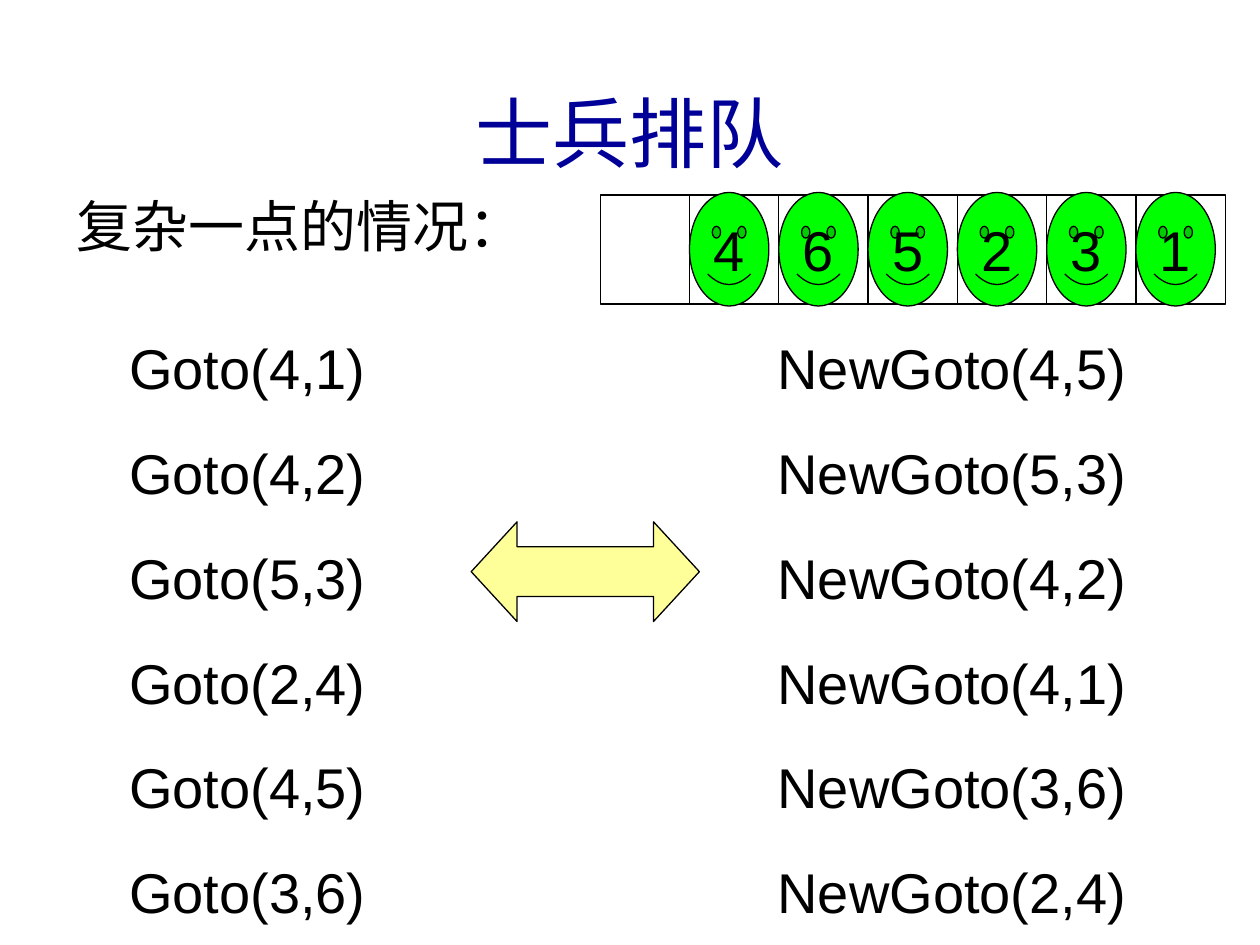
"""Build the slide on lining up soldiers, with two equivalent Goto sequences."""
from dataclasses import dataclass

from pptx import Presentation
from pptx.dml.color import RGBColor
from pptx.enum.shapes import MSO_SHAPE as Preset
from pptx.enum.text import MSO_ANCHOR as Anchor, MSO_AUTO_SIZE as AutoSize, PP_ALIGN as Align
from pptx.oxml.ns import qn
from pptx.util import Cm, Pt

NAVY = RGBColor(0x00, 0x00, 0x99)
BLACK = RGBColor(0x00, 0x00, 0x00)
GREEN = RGBColor(0x00, 0xFF, 0x00)
YELLOW = RGBColor(0xFF, 0xFF, 0x99)
FONT = "Arial"
TEXT_SIZE = 32
CELL_COUNT = 7
CELL_WIDTH = 1.8
QUEUE_LEFT = 12.1
SOLDIERS = "465231"


@dataclass
class Box:
    left: float
    top: float
    width: float
    height: float

    def lengths(self) -> tuple:
        return Cm(self.left), Cm(self.top), Cm(self.width), Cm(self.height)


@dataclass
class CallList:
    box: Box
    calls: list[str]


CALL_LISTS = [
    CallList(Box(0.89, 6.6, 8.2, 11.91),
             ["Goto(4,1)", "Goto(4,2)", "Goto(5,3)", "Goto(2,4)", "Goto(4,5)", "Goto(3,6)"]),
    CallList(Box(15.09, 6.6, 8.2, 11.91),
             ["NewGoto(4,5)", "NewGoto(5,3)", "NewGoto(4,2)",
              "NewGoto(4,1)", "NewGoto(3,6)", "NewGoto(2,4)"]),
]


def place(shape, box: Box) -> None:
    shape.left, shape.top, shape.width, shape.height = box.lengths()


def write(shape, text: str, size: int = TEXT_SIZE, color: RGBColor = BLACK,
          align: Align = Align.CENTER, anchor: Anchor = Anchor.MIDDLE, wrap: bool = True) -> None:
    frame = shape.text_frame
    frame.text = text
    frame.auto_size = AutoSize.NONE
    frame.word_wrap = wrap
    frame.vertical_anchor = anchor
    for paragraph in frame.paragraphs:
        paragraph.alignment = align
        for run in paragraph.runs:
            run.font.name = FONT
            run.font.size = Pt(size)
            run.font.color.rgb = color


def add_preset(slide, preset: Preset, box: Box, fill: RGBColor | None = None):
    shape = slide.shapes.add_shape(preset, *box.lengths())
    shape.shadow.inherit = False
    if fill is None:
        shape.fill.background()
    else:
        shape.fill.solid()
        shape.fill.fore_color.rgb = fill
    shape.line.color.rgb = BLACK
    shape.line.width = Pt(0.75)
    return shape


def fill_call_list(placeholder, call_list: CallList) -> None:
    place(placeholder, call_list.box)
    write(placeholder, "\n".join(call_list.calls), anchor=Anchor.TOP)
    for paragraph in placeholder.text_frame.paragraphs:
        paragraph.space_before = Pt(21.5)
        properties = paragraph._p.get_or_add_pPr()
        properties.set("marL", "0")
        properties.set("indent", "0")
        properties.append(properties.makeelement(qn("a:buNone"), {}))


def add_queue(slide) -> None:
    cell_lefts = [QUEUE_LEFT + index * CELL_WIDTH for index in range(CELL_COUNT)]
    for left in cell_lefts:
        add_preset(slide, Preset.RECTANGLE, Box(left, 3.93, CELL_WIDTH, 2.2))
    for left, number in zip(cell_lefts[1:], SOLDIERS):
        soldier = add_preset(slide, Preset.SMILEY_FACE, Box(left, 3.88, 1.6, 2.29), GREEN)
        write(soldier, number, wrap=False)


def main() -> None:
    presentation = Presentation()
    presentation.slide_width, presentation.slide_height = Cm(25.4), Cm(19.05)
    slide = presentation.slides.add_slide(presentation.slide_layouts[3])

    title, *bodies = slide.placeholders
    place(title, Box(0.84, 1.07, 23.72, 3.18))
    write(title, "士兵排队", size=44, color=NAVY)
    for placeholder, call_list in zip(bodies, CALL_LISTS):
        fill_call_list(placeholder, call_list)

    situation = slide.shapes.add_textbox(*Box(1.3, 3.73, 19.81, 1.63).lengths())
    write(situation, "复杂一点的情况：", align=Align.LEFT, anchor=Anchor.TOP)

    arrow = add_preset(slide, Preset.LEFT_RIGHT_ARROW, Box(9.5, 10.52, 4.6, 2.01), YELLOW)
    arrow.adjustments[1] = 0.46
    add_queue(slide)

    presentation.save("out.pptx")


if __name__ == "__main__":
    main()
